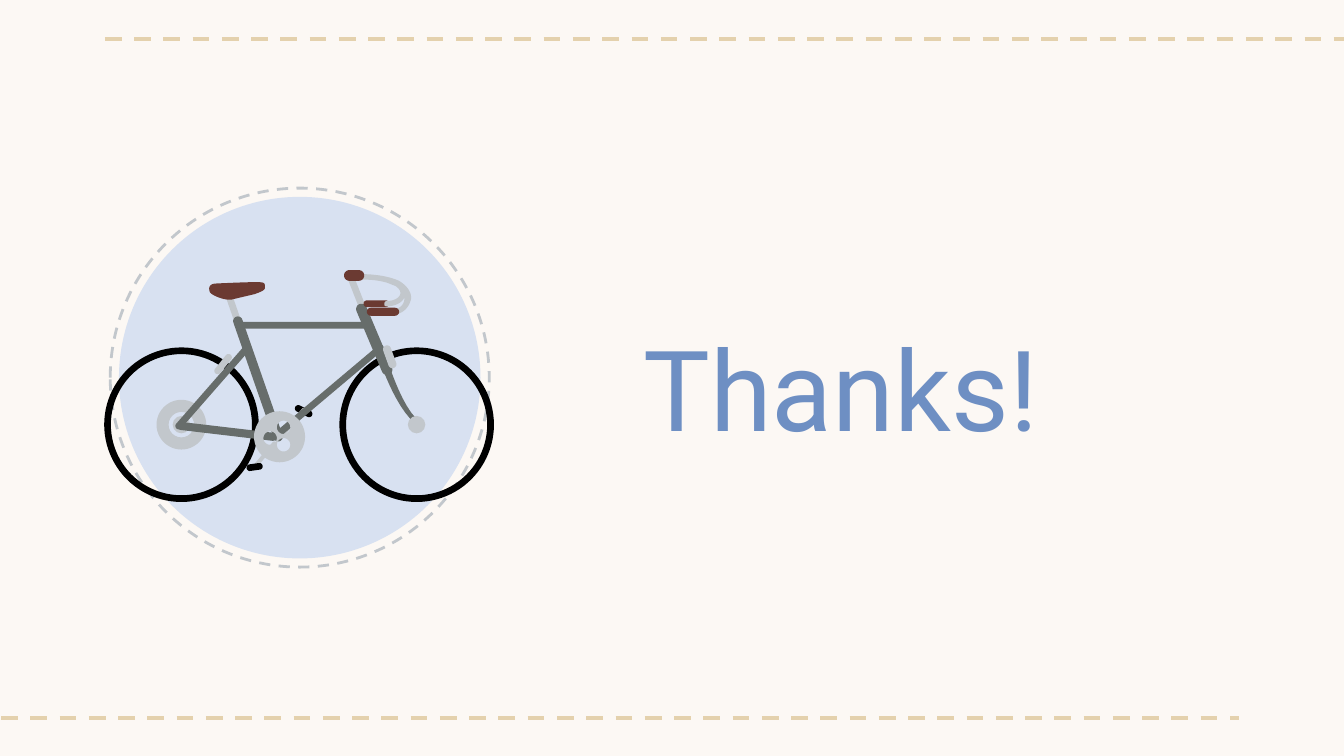
import math
from lxml import etree
from pptx import Presentation
from pptx.dml.color import RGBColor
from pptx.enum import dml, shapes, text
from pptx.oxml.ns import qn
from pptx.util import Inches, Pt

CREAM = RGBColor(0xFC, 0xF8, 0xF4)
SAND = RGBColor(0xE4, 0xD1, 0xAD)
SILVER = RGBColor(0xC2, 0xC7, 0xCC)
SKY = RGBColor(0xD8, 0xE1, 0xF1)
BLUE = RGBColor(0x6E, 0x8F, 0xC3)
STEEL = RGBColor(0x67, 0x6D, 0x6B)
BROWN = RGBColor(0x6B, 0x3A, 0x32)
BLACK = RGBColor(0, 0, 0)
KIND = shapes.MSO_SHAPE

FORK = [(2.89, 2.72), (2.89, 2.72, 2.9, 2.72, 2.9, 2.73),
        (2.9, 2.73, 3.01, 3.07, 3.13, 3.14), (3.14, 3.15, 3.12, 3.16, 3.1, 3.16),
        (3.1, 3.16, 3.09, 3.16, 3.09, 3.15), (2.96, 3.05, 2.85, 2.75, 2.85, 2.75),
        (2.85, 2.74, 2.85, 2.73, 2.86, 2.73)]
HANDLE = [(2.68, 2.04), (2.81, 2.04, 2.9, 2.06, 2.97, 2.09),
          (3.05, 2.14, 3.06, 2.19, 3.06, 2.22), (3.05, 2.28, 3, 2.34, 2.93, 2.34),
          (2.92, 2.34, 2.92, 2.33, 2.92, 2.32), (2.92, 2.3, 2.93, 2.3, 2.93, 2.3),
          (2.98, 2.3, 3.01, 2.26, 3.01, 2.22), (3.01, 2.21),
          (3, 2.25, 2.94, 2.28, 2.88, 2.28), (2.86, 2.28, 2.86, 2.27, 2.86, 2.26),
          (2.86, 2.25, 2.87, 2.24, 2.88, 2.24), (2.94, 2.24, 2.98, 2.21, 2.98, 2.18),
          (2.98, 2.16, 2.96, 2.13, 2.92, 2.12), (2.88, 2.1, 2.81, 2.08, 2.68, 2.08),
          (2.67, 2.08, 2.66, 2.07, 2.66, 2.06), (2.66, 2.05, 2.67, 2.04, 2.68, 2.04)]
SADDLE = [(1.91, 2.1), (1.94, 2.1, 1.97, 2.1, 1.97, 2.12), (1.97, 2.14),
          (1.98, 2.16, 1.92, 2.18, 1.89, 2.19), (1.72, 2.23),
          (1.72, 2.23, 1.71, 2.23, 1.7, 2.23), (1.65, 2.23, 1.56, 2.19, 1.56, 2.17),
          (1.55, 2.14, 1.56, 2.11, 1.61, 2.11), (1.61, 2.11, 1.82, 2.1, 1.89, 2.1)]


def paint(shape, color):
    shape.shadow.inherit = False
    shape.fill.solid()
    shape.fill.fore_color.rgb = color
    shape.line.fill.background()


def dash(line, color, width):
    line.color.rgb = color
    line.width = Pt(width)
    line.dash_style = dml.MSO_LINE.DASH


def rule(slide, left, right, y):
    line = slide.shapes.add_connector(shapes.MSO_CONNECTOR.STRAIGHT, Inches(left),
                                      Inches(y), Inches(right), Inches(y))
    dash(line.line, SAND, 2.25)
    etree.SubElement(line.element.spPr, qn("a:effectLst"))


def disc(slide, x, y, size, color, kind=KIND.OVAL):
    shape = slide.shapes.add_shape(kind, Inches(x - size / 2), Inches(y - size / 2),
                                   Inches(size), Inches(size))
    paint(shape, color)
    return shape


def ring(slide, x, y, size, band, color):
    shape = disc(slide, x, y, size, color, KIND.DONUT)
    shape.adjustments[0] = band / size


def shape_of(slide, loops, color):
    loops = [[(Inches(x), Inches(y)) for x, y in loop] for loop in loops]
    pen = slide.shapes.build_freeform(*loops[0][0])
    for i, loop in enumerate(loops):
        if i:
            pen.move_to(*loop[0])
        pen.add_line_segments(loop[1:], close=True)
    paint(pen.convert_to_shape(), color)


def arc(x, y, radius, start=0, sweep=2 * math.pi, steps=48):
    turns = [start + sweep * i / steps for i in range(steps + 1)]
    return [(x + radius * math.cos(t), y + radius * math.sin(t)) for t in turns]


def bar(slide, x1, y1, x2, y2, width, color):
    side = math.atan2(y2 - y1, x2 - x1) + math.pi / 2
    loop = (arc(x1, y1, width / 2, side, math.pi, 12)
            + arc(x2, y2, width / 2, side + math.pi, math.pi, 12))
    shape_of(slide, [loop], color)


def bend(slide, parts, color, steps=10):
    loop = [parts[0]]
    for part in parts[1:]:
        if len(part) == 2:
            loop.append(part)
            continue
        ends = [loop[-1], part[:2], part[2:4], part[4:]]
        for i in range(1, steps + 1):
            t = i / steps
            mix = ((1 - t) ** 3, 3 * t * (1 - t) ** 2, 3 * t * t * (1 - t), t ** 3)
            loop.append(tuple(sum(m * p[k] for m, p in zip(mix, ends)) for k in (0, 1)))
    shape_of(slide, [loop], color)


def badge(slide):
    edge = disc(slide, 2.23, 2.81, 2.82, SKY)
    edge.fill.background()
    dash(edge.line, SILVER, 1.5)
    disc(slide, 2.23, 2.81, 2.69, SKY)


def title(slide):
    box = slide.shapes.add_textbox(Inches(4.69), Inches(2.27), Inches(4.86), Inches(1.22))
    frame = box.text_frame
    frame.word_wrap = True
    frame.vertical_anchor = text.MSO_ANCHOR.MIDDLE
    frame.margin_left = frame.margin_right = Inches(0.1)
    frame.margin_top = frame.margin_bottom = Inches(0.1)
    run = frame.paragraphs[0].add_run()
    run.text = "Thanks!"
    run.font.name = "Roboto"
    run.font.size = Pt(60)
    run.font.color.rgb = BLUE


def wheels(slide):
    ring(slide, 1.35, 3.16, 0.37, 0.09, SILVER)
    ring(slide, 3.1, 3.16, 1.15, 0.05, BLACK)
    bar(slide, 2.22, 3.04, 2.3, 3.08, 0.05, BLACK)
    disc(slide, 1.35, 3.16, 0.13, SILVER)
    bar(slide, 2.11, 3.23, 2.26, 3.05, 0.03, SILVER)
    ring(slide, 1.35, 3.16, 1.15, 0.05, BLACK)


def body(slide):
    bar(slide, 2.6, 2.04, 2.75, 2.42, 0.05, SILVER)
    bar(slide, 1.71, 2.22, 1.87, 2.68, 0.05, SILVER)
    tubes = [(1.77, 2.39, 2.07, 3.25, 0.07), (2.69, 2.3, 2.88, 2.75, 0.08)]
    stays = [(1.78, 2.42, 2.73, 2.42, 0.05), (2.07, 3.23, 2.83, 2.59, 0.05),
             (1.33, 3.17, 1.82, 2.61, 0.05), (1.35, 3.17, 2.03, 3.25, 0.06)]
    for tube in tubes:
        bar(slide, *tube, STEEL)
    bend(slide, FORK, STEEL)
    for stay in stays:
        bar(slide, *stay, STEEL)


def drive(slide):
    holes = [(2.11, 3.18), (2.01, 3.26), (2.11, 3.31)]
    loops = [arc(2.08, 3.25, 0.19)] + [arc(x, y, 0.05) for x, y in holes]
    shape_of(slide, loops, SILVER)
    bar(slide, 1.89, 3.48, 2.04, 3.3, 0.03, SILVER)
    bar(slide, 1.86, 3.48, 1.93, 3.47, 0.05, BLACK)
    disc(slide, 3.1, 3.16, 0.13, SILVER)


def grips(slide):
    bar(slide, 2.73, 2.26, 2.87, 2.26, 0.05, BROWN)
    bend(slide, HANDLE, SILVER)
    bend(slide, SADDLE, BROWN)
    bar(slide, 2.76, 2.32, 2.94, 2.32, 0.06, BROWN)
    bar(slide, 2.6, 2.05, 2.67, 2.05, 0.08, BROWN)
    bar(slide, 1.62, 2.76, 1.7, 2.66, 0.05, SILVER)
    bar(slide, 2.88, 2.6, 2.92, 2.71, 0.06, SILVER)


def main():
    deck = Presentation()
    deck.slide_width, deck.slide_height = Inches(10), Inches(10 * 9 / 16)
    slide = deck.slides.add_slide(deck.slide_layouts[6])
    slide.background.fill.solid()
    slide.background.fill.fore_color.rgb = CREAM
    rule(slide, -0.21, 9.22, 5.34)
    rule(slide, 0.78, 10.21, 0.29)
    badge(slide)
    title(slide)
    wheels(slide)
    body(slide)
    drive(slide)
    grips(slide)
    deck.save("out.pptx")


if __name__ == "__main__":
    main()
